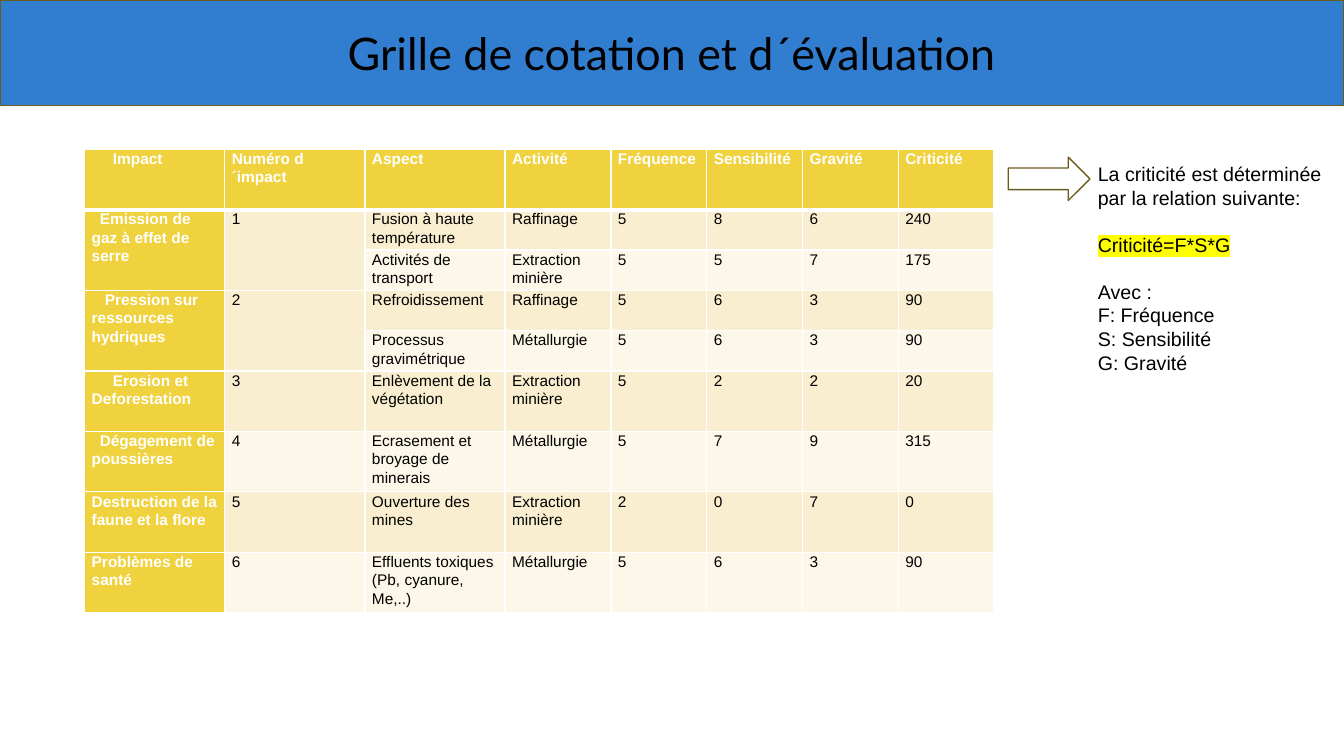
from dataclasses import dataclass
from typing import Any

import lxml.etree
import pptx
import pptx.dml.color
import pptx.enum.shapes
import pptx.enum.text
import pptx.oxml
import pptx.oxml.ns
import pptx.util

Inches = pptx.util.Inches
Pt = pptx.util.Pt
RGBColor = pptx.dml.color.RGBColor
Shape = pptx.enum.shapes.MSO_SHAPE

BLACK = RGBColor(0x00, 0x00, 0x00)
WHITE = RGBColor(0xFF, 0xFF, 0xFF)
BLUE = RGBColor(0x31, 0x7E, 0xD1)
OLIVE = RGBColor(0x69, 0x5C, 0x1C)
GOLD = RGBColor(0xF0, 0xD2, 0x3F)
SAND = RGBColor(0xF9, 0xEE, 0xCF)
CREAM = RGBColor(0xFC, 0xF7, 0xE8)
YELLOW = RGBColor(0xFF, 0xFF, 0x00)

TITLE_FONT = {"name": "Lato", "size": Pt(32), "bold": False}
NOTE_FONT = {"name": "Arial", "size": Pt(14), "bold": False}
BODY_FONT = {"name": "Arial", "size": Pt(11), "bold": False}
HEAD_FONT = {**BODY_FONT, "bold": True}
CELL_FORMAT = {
    "margin_left": Inches(0.07),
    "margin_right": Inches(0.07),
    "margin_top": 0,
    "margin_bottom": 0,
}
CELL_PARA = {"line_spacing": 1.07, "space_after": Pt(8)}


@dataclass(frozen=True)
class Line:
    text: str
    gap_before: float = 0
    highlight: RGBColor | None = None


@dataclass(frozen=True)
class Evaluation:
    aspect: str
    activity: str
    frequency: int
    sensitivity: int
    gravity: int

    def values(self) -> list[str]:
        criticality = self.frequency * self.sensitivity * self.gravity
        scores = (self.frequency, self.sensitivity, self.gravity, criticality)
        return [self.aspect, self.activity, *map(str, scores)]


@dataclass(frozen=True)
class Impact:
    name: str
    indent: float
    evaluations: tuple[Evaluation, ...]


HEADINGS = ("Impact", "Numéro d´impact", "Aspect", "Activité",
            "Fréquence", "Sensibilité", "Gravité", "Criticité")
HEADING_INDENT = 0.21
COLUMN_WIDTHS = (1.39, 1.39, 1.39, 1.05, 0.95, 0.95, 0.95, 0.95)
SINGLE_HEIGHT = 0.6
SHARED_HEIGHT = 0.4

IMPACTS = (
    Impact("Emission de gaz à effet de serre", 0.08, (
        Evaluation("Fusion à haute température", "Raffinage", 5, 8, 6),
        Evaluation("Activités de transport", "Extraction minière", 5, 5, 7))),
    Impact("Pression sur ressources hydriques", 0.13, (
        Evaluation("Refroidissement", "Raffinage", 5, 6, 3),
        Evaluation("Processus gravimétrique", "Métallurgie", 5, 6, 3))),
    Impact("Erosion et Deforestation", 0.21, (
        Evaluation("Enlèvement de la végétation", "Extraction minière", 5, 2, 2),)),
    Impact("Dégagement de poussières", 0.08, (
        Evaluation("Ecrasement et broyage de minerais", "Métallurgie", 5, 7, 9),)),
    Impact("Destruction de la faune et la flore", 0, (
        Evaluation("Ouverture des mines", "Extraction minière", 2, 0, 7),)),
    Impact("Problèmes de santé", 0, (
        Evaluation("Effluents toxiques (Pb, cyanure, Me,..)", "Métallurgie", 5, 6, 3),)),
)

NOTE_GAP = 16.8
NOTE_LINES = (
    Line("La criticité est déterminée par la relation suivante:"),
    Line("Criticité=F*S*G", NOTE_GAP, YELLOW),
    Line("Avec :", NOTE_GAP),
    Line("F: Fréquence"),
    Line("S: Sensibilité"),
    Line("G: Gravité"),
)


def apply(target: Any, values: dict[str, Any]) -> None:
    for name, value in values.items():
        setattr(target, name, value)


def add_span(para: Any, text: str, font: dict[str, Any], color: RGBColor) -> Any:
    span = para.add_run()
    span.text = text
    apply(span.font, font)
    span.font.color.rgb = color
    return span


def highlight_span(span: Any, color: RGBColor) -> None:
    mark = pptx.oxml.parse_xml(
        f'<a:highlight {pptx.oxml.ns.nsdecls("a")}><a:srgbClr val="{color}"/></a:highlight>')
    span.font.fill._xPr.find(pptx.oxml.ns.qn("a:latin")).addprevious(mark)


def add_outlined(page: Any, kind: Any, at: tuple[float, ...], fill: RGBColor | None) -> None:
    shape = page.shapes.add_shape(kind, *map(Inches, at))
    shape.shadow.inherit = False
    if fill is None:
        shape.fill.background()
    else:
        shape.fill.solid()
        shape.fill.fore_color.rgb = fill
    shape.line.color.rgb = OLIVE
    shape.line.width = Pt(1)


def add_text(page: Any, at: tuple[float, ...], lines: tuple[Line, ...],
             font: dict[str, Any]) -> None:
    box = page.shapes.add_textbox(*map(Inches, at))
    frame = box.text_frame
    apply(frame, {"word_wrap": True,
                  "auto_size": pptx.enum.text.MSO_AUTO_SIZE.SHAPE_TO_FIT_TEXT})
    for index, line in enumerate(lines):
        para = frame.add_paragraph() if index else frame.paragraphs[0]
        para.space_before = Pt(line.gap_before)
        span = add_span(para, line.text, font, BLACK)
        if line.highlight is not None:
            highlight_span(span, line.highlight)


def border_cell(cell: Any, widths: dict[str, float]) -> None:
    properties = cell._tc.get_or_add_tcPr()
    for position, (side, width) in enumerate(widths.items()):
        border = lxml.etree.Element(pptx.oxml.ns.qn(f"a:ln{side}"), w=str(Pt(width)))
        fill = lxml.etree.SubElement(border, pptx.oxml.ns.qn("a:solidFill"))
        lxml.etree.SubElement(fill, pptx.oxml.ns.qn("a:srgbClr"), val=str(WHITE))
        properties.insert(position, border)


def style_cell(cell: Any, fill: RGBColor, top: float = 1, bottom: float = 1) -> None:
    apply(cell, CELL_FORMAT)
    cell.fill.solid()
    cell.fill.fore_color.rgb = fill
    border_cell(cell, {"L": 1, "R": 1, "T": top, "B": bottom})


def write_cell(cell: Any, text: str, font: dict[str, Any], color: RGBColor,
               indent: float = 0) -> None:
    para = cell.text_frame.paragraphs[0]
    apply(para, CELL_PARA)
    if indent:
        para._p.get_or_add_pPr().set("indent", str(Inches(indent)))
    add_span(para, text, font, color)


def add_grid(page: Any, left: float, top: float) -> None:
    heights = [SINGLE_HEIGHT]
    for impact in IMPACTS:
        count = len(impact.evaluations)
        heights += [SHARED_HEIGHT if count > 1 else SINGLE_HEIGHT] * count
    frame = page.shapes.add_table(len(heights), len(HEADINGS), Inches(left), Inches(top),
                                  Inches(sum(COLUMN_WIDTHS)), Inches(sum(heights)))
    table = frame.table
    for column, width in zip(table.columns, COLUMN_WIDTHS):
        column.width = Inches(width)
    for row, height in zip(table.rows, heights):
        row.height = Inches(height)
    for column, heading in enumerate(HEADINGS):
        style_cell(table.cell(0, column), GOLD, bottom=3)
        write_cell(table.cell(0, column), heading, HEAD_FONT, WHITE,
                   0 if column else HEADING_INDENT)
    first = 1
    for number, impact in enumerate(IMPACTS, 1):
        last = first + len(impact.evaluations) - 1
        for row, evaluation in enumerate(impact.evaluations, first):
            band = SAND if row % 2 else CREAM
            for column in range(len(HEADINGS)):
                style_cell(table.cell(row, column), band if column else GOLD,
                           top=3 if row == 1 else 1)
            for column, value in enumerate(evaluation.values(), 2):
                write_cell(table.cell(row, column), value, BODY_FONT, BLACK)
        write_cell(table.cell(first, 0), impact.name, HEAD_FONT, WHITE, impact.indent)
        write_cell(table.cell(first, 1), str(number), BODY_FONT, BLACK)
        if last > first:
            for column in range(2):
                table.cell(first, column).merge(table.cell(last, column))
        first = last + 1


def main() -> None:
    deck = pptx.Presentation()
    apply(deck, {"slide_width": Inches(13.33), "slide_height": Inches(7.5)})
    page = deck.slides.add_slide(deck.slide_layouts[6])
    add_outlined(page, Shape.RECTANGLE, (0, 0, 13.33, 1.05), BLUE)
    add_text(page, (3.35, 0.21, 8.52, 0.64),
             (Line("Grille de cotation et d´évaluation"),), TITLE_FONT)
    add_grid(page, 0.84, 1.48)
    add_outlined(page, Shape.RIGHT_ARROW, (10, 1.56, 0.81, 0.43), None)
    add_text(page, (10.79, 1.56, 2.46, 2.22), NOTE_LINES, NOTE_FONT)
    deck.save("out.pptx")


if __name__ == "__main__":
    main()
